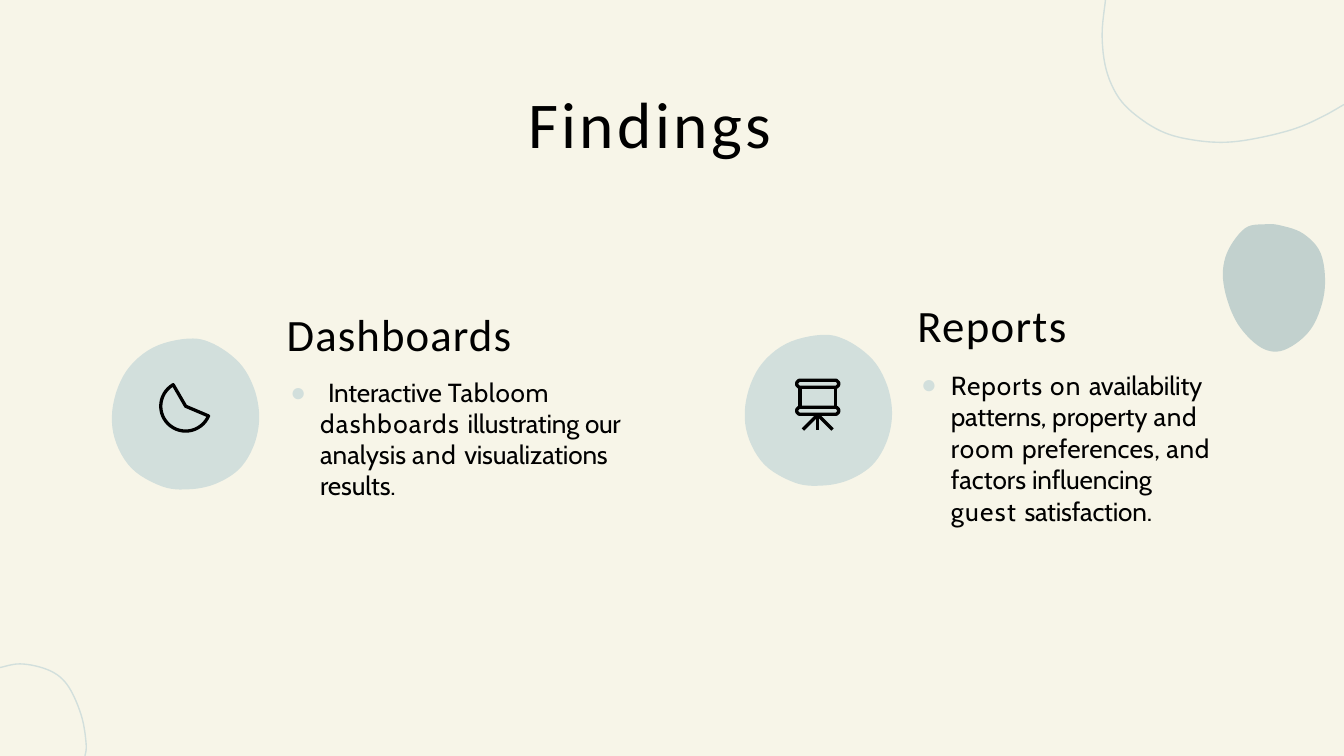
from lxml.etree import SubElement
from pptx import Presentation
from pptx.dml.color import RGBColor
from pptx.enum.shapes import MSO_SHAPE
from pptx.oxml.ns import qn
from pptx.util import Cm, Pt

CREAM = RGBColor(0xF7, 0xF5, 0xE8)
MIST = RGBColor(0xD2, 0xDF, 0xDC)
SAGE = RGBColor(0xC2, 0xD1, 0xCE)
BLACK = RGBColor(0, 0, 0)

ICON_LINE = 1.75
HEADING_FONT, BODY_FONT = "Calibri", "Cabin"

# Outline anchors, in percent of the box they are drawn in
DISC = [(52, 0), (28, 6), (10, 21.5), (1, 44), (2, 66), (13.5, 86), (34, 98),
        (52, 100), (70, 96.5), (86.5, 86.5), (96.5, 70.5), (100, 52),
        (96.5, 33), (86.5, 16), (69, 3.5)]
PEBBLE = [(41, 0), (22, 3), (5.5, 20), (0, 39), (5, 61), (17, 81), (37, 96.5),
          (56.5, 99.5), (78, 89.5), (92, 74), (100, 49.5), (96, 23), (79, 7.5),
          (57, 1)]
TOP_CURVE = [(1.4, 0), (0, 24.5), (1.7, 49), (7, 69), (15.5, 83), (26, 93.4),
             (38, 98.5), (51.5, 100), (66, 96.5), (80.5, 90), (91.7, 81.5),
             (100, 73.5)]
BOTTOM_CURVE = [(0, 4), (23, 0), (50, 4.5), (70, 14.5), (84, 32), (95.5, 60),
                (100, 88), (98.5, 100)]


def smooth(points, closed, steps=6):
    """Return points along a Catmull-Rom curve through the anchors."""
    n = len(points)
    if closed:
        ring = [points[-1], *points, points[0], points[1]]
    else:
        ring = [points[0], *points, points[-1]]
    curve = []
    for i in range(n if closed else n - 1):
        a, b, c, d = ring[i:i + 4]
        for t in (k / steps for k in range(steps)):
            curve.append(tuple(
                (2 * q + (r - p) * t + (2 * p - 5 * q + 4 * r - s) * t ** 2
                 + (3 * q - p - 3 * r + s) * t ** 3) / 2
                for p, q, r, s in zip(a, b, c, d)))
    return curve if closed else curve + [points[-1]]


def paint(sp, fill=None, line=None, width=0.75):
    sp.shadow.inherit = False
    if fill is None:
        sp.fill.background()
    else:
        sp.fill.solid()
        sp.fill.fore_color.rgb = fill
    if line is None:
        sp.line.fill.background()
    else:
        sp.line.color.rgb = line
        sp.line.width = Pt(width)


def add_paths(shapes, paths, **colours):
    """Draw one freeform from (points in cm, closed) pairs."""
    builder = None
    for points, closed in paths:
        start, *rest = [(Cm(x), Cm(y)) for x, y in points]
        if builder is None:
            builder = shapes.build_freeform(*start, scale=1.0)
        else:
            builder.move_to(*start)
        builder.add_line_segments(rest, close=closed)
    paint(builder.convert_to_shape(), **colours)


def add_outline(shapes, box, anchors, closed=True, **colours):
    left, top, width, height = box
    points = [(left + width * x / 100, top + height * y / 100)
              for x, y in smooth(anchors, closed)]
    add_paths(shapes, [(points, closed)], **colours)


def add_backdrop(shapes, width, height):
    paint(shapes.add_shape(MSO_SHAPE.RECTANGLE, 0, 0, width, height), fill=CREAM)
    add_outline(shapes, (0, 12.55, 1.63, 1.74), BOTTOM_CURVE, False, line=MIST)
    add_outline(shapes, (23.11, 4.24, 1.93, 2.41), PEBBLE, fill=SAGE)
    add_outline(shapes, (20.83, 0, 4.57, 2.69), TOP_CURVE, False, line=MIST)


def pie_icon(shapes, left, top):
    sp = shapes.add_shape(MSO_SHAPE.PIE, Cm(left + 0.93), Cm(top + 0.81),
                          Cm(0.94), Cm(0.94))
    for i, degrees in enumerate((23, 240)):
        sp.adjustments[i] = degrees * 0.6
    paint(sp, line=BLACK, width=ICON_LINE)


def easel_icon(shapes, left, top):
    left, top = left + 0.99, top + 0.86
    width, bar, cut = 0.79, 0.13, 0.04
    paths = []
    for y in (0, 0.51):
        paths.append(([(cut, y), (width - cut, y), (width, y + cut),
                       (width, y + bar - cut), (width - cut, y + bar),
                       (cut, y + bar), (0, y + bar - cut), (0, y + cut)], True))
    for x in (0.06, width - 0.06):
        paths.append(([(x, bar), (x, 0.51)], False))
    for foot in (-0.28, 0, 0.28):
        paths.append(([(width / 2, 0.65), (width / 2 + foot, 0.93)], False))
    add_paths(shapes, [([(left + x, top + y) for x, y in points], closed)
                       for points, closed in paths], line=BLACK, width=ICON_LINE)


def add_text_box(shapes, box, inset_top):
    tf = shapes.add_textbox(*map(Cm, box)).text_frame
    margins = {"margin_left": 0, "margin_right": 0, "margin_bottom": 0,
               "margin_top": Cm(inset_top), "word_wrap": True}
    for name, value in margins.items():
        setattr(tf, name, value)
    return tf


def add_run(p, text, font, size, spacing):
    r = p.add_run()
    r.text = text
    for name, value in {"name": font, "size": Pt(size)}.items():
        setattr(r.font, name, value)
    r.font.color.rgb = BLACK
    r._r.get_or_add_rPr().set("spc", str(round(spacing * 100)))


def set_indent(p, left, first=0):
    pPr = p._p.get_or_add_pPr()
    pPr.set("marL", str(Cm(left)))
    pPr.set("indent", str(Cm(first)))
    return pPr


def set_bullet(p, tabs):
    pPr = set_indent(p, 0.66, -0.56)
    SubElement(SubElement(pPr, qn("a:buClr")), qn("a:srgbClr"), val=str(MIST))
    SubElement(pPr, qn("a:buFont"), typeface="Times New Roman")
    SubElement(pPr, qn("a:buChar"), char="●")
    tab_list = SubElement(pPr, qn("a:tabLst"))
    for tab in tabs:
        SubElement(tab_list, qn("a:tab"), pos=str(Cm(tab)), algn="l")


def add_title(shapes, box):
    p = add_text_box(shapes, box, 0.86).paragraphs[0]
    set_indent(p, 8.66)
    add_run(p, "Findings", HEADING_FONT, 35, 1.8)


def add_finding(shapes, disc_at, icon, text_box, heading, runs, line_spacing, tabs):
    """Place a disc with its icon, and a heading over one bullet beside it."""
    group = shapes.add_group_shape().shapes
    add_outline(group, (*disc_at, 2.79, 2.85), DISC, fill=MIST)
    icon(group, *disc_at)

    tf = add_text_box(shapes, text_box, 0.56)
    p = tf.paragraphs[0]
    set_indent(p, 0.03)
    add_run(p, *heading[:1], HEADING_FONT, 24, heading[1])
    p = tf.add_paragraph()
    set_bullet(p, tabs)
    p.space_before = Pt(9.2)
    p.line_spacing = line_spacing
    for text, spacing in runs:
        add_run(p, text, BODY_FONT, 14, spacing)


def main():
    prs = Presentation()
    prs.slide_width, prs.slide_height = Cm(25.4), Cm(14.29)
    s = prs.slides.add_slide(prs.slide_layouts[6])

    add_backdrop(s.shapes, prs.slide_width, prs.slide_height)
    add_title(s.shapes, (1.32, 0.71, 22.76, 2.39))
    add_finding(s.shapes, (14.07, 6.33), easel_icon, (17.31, 5.07, 5.66, 4.93),
                ("Reports", 0.7),
                [("Reports ", 0.5), ("on ", 0.7), ("availability patterns, ", -0.1),
                 ("property ", 0), ("and ", 0.3), ("room ", 0.6),
                 ("preferences, ", 0.1), ("and ", 0.3), ("factors ", 0),
                 ("influencing ", -0.1), ("guest ", 0.7), ("satisfaction.", -0.1)],
                1.01, [0.66])
    add_finding(s.shapes, (2.11, 6.4), pie_icon, (5.39, 5.23, 6.78, 4.32),
                ("Dashboards", 0.6),
                [("\tInteractive ", -0.1), ("Tabloom ", 0.3), ("dashboards ", 0.7),
                 ("illustrating ", -0.1), ("our ", -0.2), ("analysis ", 0),
                 ("and ", 0.6), ("visualizations results.", -0.1)],
                0.99, [0.66, 0.81])
    prs.save("out.pptx")


if __name__ == "__main__":
    main()
